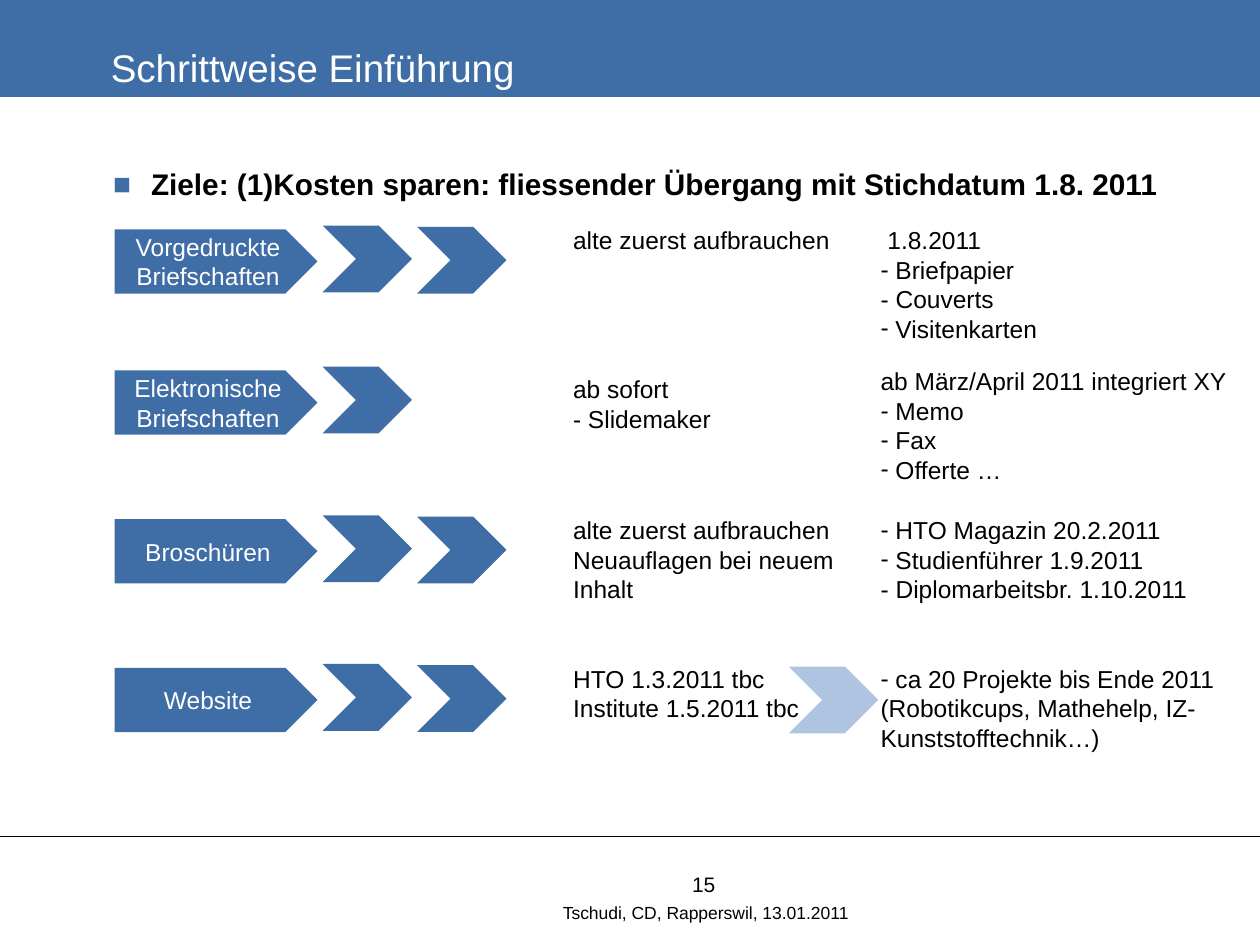
from dataclasses import dataclass

from lxml import etree
from pptx import Presentation
from pptx.dml.color import RGBColor
from pptx.enum.shapes import MSO_CONNECTOR, MSO_SHAPE
from pptx.enum.text import MSO_ANCHOR, MSO_AUTO_SIZE, PP_ALIGN
from pptx.oxml.ns import qn
from pptx.util import Inches, Pt

BLUE, LIGHT_BLUE, BLACK, WHITE = "3F6DA6", "AEC4E0", "000000", "FFFFFF"
DASH = "- "  # lines starting with this mark become bulleted paragraphs

PLATE_LEFT, PLATE_WIDTH, PLATE_HEIGHT = 0.91, 1.61, 0.51
CHEVRON_LEFT, CHEVRON_STEP = 2.56, 0.75
CHEVRON_WIDTH, CHEVRON_HEIGHT = 0.71, 0.53
NOW_LEFT, LATER_LEFT = 4.45, 6.89
TEXT_RISE = 0.08


@dataclass
class Stage:
    name: str
    top: float
    chevrons: int
    now: list[str]
    later: list[str]
    now_width: float = 2.28
    later_width: float = 2.95
    now_drop: float = 0.0


STAGES = [
    Stage("Vorgedruckte Briefschaften", 1.82, 2,
          ["alte zuerst aufbrauchen"],
          [" 1.8.2011", "- Briefpapier\n- Couverts", "- Visitenkarten"]),
    Stage("Elektronische Briefschaften", 2.94, 1,
          ["ab sofort\n- Slidemaker"],
          ["ab März/April 2011 integriert XY", "- Memo", "- Fax", "- Offerte …"],
          now_width=1.5, later_width=3.11, now_drop=0.06),
    Stage("Broschüren", 4.12, 2,
          ["alte zuerst aufbrauchen", "Neuauflagen bei neuem Inhalt"],
          ["- HTO Magazin 20.2.2011",
           "- Studienführer 1.9.2011\n- Diplomarbeitsbr. 1.10.2011"]),
    Stage("Website", 5.3, 2,
          ["HTO 1.3.2011 tbc", "Institute 1.5.2011 tbc"],
          ["- ca 20 Projekte bis Ende 2011",
           "(Robotikcups, Mathehelp, IZ-Kunststofftechnik…)"]),
]


def rgb(color: str) -> RGBColor:
    return RGBColor.from_string(color)


def style(paragraph, size: float, color: str = BLACK, align=PP_ALIGN.LEFT,
          bold: bool = False) -> None:
    paragraph.alignment = align
    font = paragraph.font
    font.name, font.size, font.bold = "Arial", Pt(size), bold
    font.color.rgb = rgb(color)


def indent(paragraph, margin: float, first: float = 0) -> None:
    properties = paragraph._p.get_or_add_pPr()
    properties.set("marL", str(Inches(margin)))
    properties.set("indent", str(Inches(first)))


def bullet(paragraph, mark: str, color: str = BLACK) -> None:
    properties = paragraph._p.get_or_add_pPr()
    bullet_color = etree.Element(qn("a:buClr"))
    etree.SubElement(bullet_color, qn("a:srgbClr"), val=color)
    bullet_font = etree.Element(qn("a:buFont"), typeface="Arial")
    bullet_mark = etree.Element(qn("a:buChar"), char=mark)
    # Bullet settings precede the default run properties
    defaults = properties.find(qn("a:defRPr"))
    for element in (bullet_color, bullet_font, bullet_mark):
        defaults.addprevious(element)


def add_text(left: float, top: float, width: float, height: float,
             lines: list[str], size: float = 14, align=PP_ALIGN.LEFT,
             anchor=MSO_ANCHOR.TOP, bold: bool = False):
    frame = slide.shapes.add_textbox(
        Inches(left), Inches(top), Inches(width), Inches(height)).text_frame
    frame.word_wrap = True
    frame.vertical_anchor = anchor
    for number, line in enumerate(lines):
        paragraph = frame.add_paragraph() if number else frame.paragraphs[0]
        dashed = line.startswith(DASH)
        paragraph.text = line[1:] if dashed else line
        style(paragraph, size, align=align, bold=bold)
        if dashed:
            indent(paragraph, 0)
            bullet(paragraph, "-")
    return frame


def add_arrow(kind, left: float, top: float, width: float, height: float,
              color: str = BLUE, label: str = "") -> None:
    arrow = slide.shapes.add_shape(
        kind, Inches(left), Inches(top), Inches(width), Inches(height))
    arrow.shadow.inherit = False
    arrow.fill.solid()
    arrow.fill.fore_color.rgb = rgb(color)
    arrow.line.fill.background()
    if label:
        frame = arrow.text_frame
        frame.word_wrap = True
        frame.vertical_anchor = MSO_ANCHOR.MIDDLE
        frame.text = label
        style(frame.paragraphs[0], 14, WHITE, PP_ALIGN.CENTER)


def add_chevron(left: float, top: float, color: str = BLUE) -> None:
    add_arrow(MSO_SHAPE.CHEVRON, left, top, CHEVRON_WIDTH, CHEVRON_HEIGHT, color)


def add_stage(stage: Stage) -> None:
    add_arrow(MSO_SHAPE.PENTAGON, PLATE_LEFT, stage.top,
              PLATE_WIDTH, PLATE_HEIGHT, label=stage.name)
    for number in range(stage.chevrons):
        add_chevron(CHEVRON_LEFT + number * CHEVRON_STEP,
                    stage.top - 0.03 + number * 0.01)
    text_top = stage.top - TEXT_RISE
    for left, top, width, lines in (
            (NOW_LEFT, text_top + stage.now_drop, stage.now_width, stage.now),
            (LATER_LEFT, text_top, stage.later_width, stage.later)):
        line_count = sum(line.count("\n") + 1 for line in lines)
        frame = add_text(left, top, width, 0.1 + 0.235 * line_count, lines)
        frame.auto_size = MSO_AUTO_SIZE.SHAPE_TO_FIT_TEXT


presentation = Presentation()
presentation.slide_width, presentation.slide_height = Inches(10), Inches(7.5)
slide = presentation.slides.add_slide(presentation.slide_layouts[5])

# Title band
title = slide.shapes.title
title.left, title.top = Inches(0), Inches(0)
title.width, title.height = Inches(10), Inches(0.77)
title.fill.solid()
title.fill.fore_color.rgb = rgb(BLUE)
title.text_frame.text = "Schrittweise Einführung"
title.text_frame.auto_size = MSO_AUTO_SIZE.NONE
title.text_frame.vertical_anchor = MSO_ANCHOR.MIDDLE
title.text_frame.margin_top = Inches(0.35)
style(title.text_frame.paragraphs[0], 22, WHITE)
indent(title.text_frame.paragraphs[0], 0.78)

# Footer rule
rule = slide.shapes.add_connector(
    MSO_CONNECTOR.STRAIGHT, Inches(0), Inches(6.64), Inches(10), Inches(6.64))
rule.line.color.rgb = rgb(BLACK)
rule.line.width = Pt(0.75)
etree.SubElement(rule._element.spPr, qn("a:effectLst"))

# Goal
goal = add_text(
    0.51, 1.27, 8.98, 0.4,
    ["Ziele: (1)Kosten sparen: fliessender Übergang mit Stichdatum 1.8. 2011"],
    size=17, bold=True).paragraphs[0]
goal.space_before = Pt(3.4)
indent(goal, 0.59, -0.3)
bullet(goal, "■", BLUE)

# Stages, with the pale arrow towards later web projects underneath
add_chevron(6.26, 5.29, LIGHT_BLUE)
for stage in STAGES:
    add_stage(stage)

# Footer
add_text(3.35, 6.95, 4.47, 0.13, ["15"], 12, PP_ALIGN.CENTER, MSO_ANCHOR.MIDDLE)
add_text(3.35, 7.1, 4.5, 0.28, ["Tschudi, CD, Rapperswil, 13.01.2011"], 10,
         PP_ALIGN.CENTER, MSO_ANCHOR.MIDDLE)

presentation.save("out.pptx")
